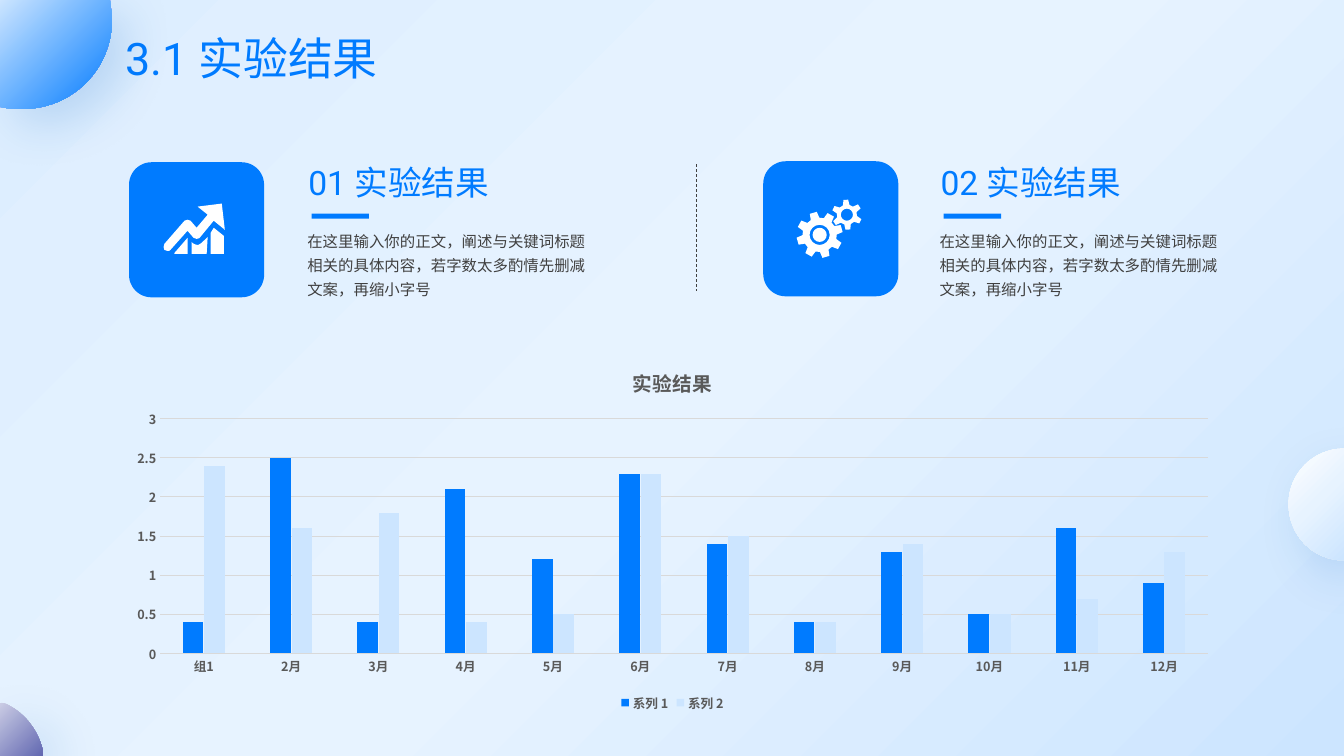
from dataclasses import dataclass
from math import cos, radians, sin

from lxml import etree
from pptx import Presentation
from pptx.chart import data as chart_data
from pptx.dml.color import RGBColor
from pptx.enum import chart as ch, dml, shapes, text
from pptx.oxml import ns
from pptx.util import Inches, Pt


@dataclass(frozen=True)
class Theme:
    blue: str = "007BFF"
    pale: str = "CCE5FF"
    mist: str = "E7F3FF"
    sky: str = "DDEEFF"
    white: str = "FFFFFF"
    lilac: str = "CBCDE5"
    purple: str = "6369B2"
    shadow: str = "005CBF"
    body: str = "404040"
    chart_text: str = "595959"
    grid: str = "D9D9D9"
    font: str = "Roboto"
    cjk_font: str = "Noto Sans CJK SC"
    title_size: int = 32
    heading_size: int = 24
    chart_title_size: int = 14
    body_size: int = 11
    chart_size: int = 9


THEME = Theme()
BODY = "在这里输入你的正文，阐述与关键词标题相关的具体内容，若字数太多酌情先删减文案，再缩小字号"
CATEGORIES = ["组1"] + [f"{month}月" for month in range(2, 13)]
SERIES = [
    ("系列 1", [0.4, 2.5, 0.4, 2.1, 1.2, 2.3, 1.4, 0.4, 1.3, 0.5, 1.6, 0.9], THEME.blue),
    ("系列 2", [2.4, 1.6, 1.8, 0.4, 0.5, 2.3, 1.5, 0.4, 1.4, 0.5, 0.7, 1.3], THEME.pale),
]
# Outlines: two numbers make a line to a point, six make a Bezier curve
TOP_ORB = [(0, 0), (1.09, 0), (1.1, 0.08, 1.11, 0.14, 1.11, 0.2),
           (1.11, 0.69, 0.71, 1.08, 0.23, 1.08), (0.16, 1.08, 0.1, 1.08, 0.05, 1.07), (0, 1.06)]
RIGHT_ORB = [(13.33, 4.45), (13.33, 5.56), (13.02, 5.56, 12.78, 5.31, 12.78, 5),
             (12.78, 4.7, 13.02, 4.45, 13.33, 4.45)]
BOTTOM_ORB = [(0, 6.97), (0.05, 6.98), (0.23, 7.06, 0.37, 7.23, 0.42, 7.43), (0.42, 7.5), (0, 7.5)]
GROWTH_ICON = [
    [(1.86, 2.29), (1.69, 2.48), (1.69, 2.49, 1.67, 2.49, 1.66, 2.49),
     (1.65, 2.49, 1.64, 2.49, 1.63, 2.48), (1.62, 2.46, 1.62, 2.44, 1.63, 2.42), (1.83, 2.19),
     (1.84, 2.18, 1.85, 2.18, 1.86, 2.18), (1.89, 2.19), (1.95, 2.26), (2.06, 2.13), (1.96, 2.05),
     (2.2, 2.02), (2.23, 2.28), (2.12, 2.19), (1.98, 2.36), (1.98, 2.36, 1.97, 2.37, 1.95, 2.37),
     (1.94, 2.37, 1.93, 2.36, 1.92, 2.36)],
    [(1.73, 2.52), (1.86, 2.52), (1.86, 2.36), (1.73, 2.51)],
    [(2, 2.41), (1.98, 2.43, 1.96, 2.43, 1.96, 2.43), (1.95, 2.43, 1.91, 2.42, 1.9, 2.4),
     (1.9, 2.52), (2.05, 2.52), (2.06, 2.35)],
    [(2.12, 2.26), (2.09, 2.31), (2.09, 2.52), (2.22, 2.52), (2.22, 2.34)],
]


def color(value):
    return RGBColor.from_string(value)


def polar(cx, cy, radius, degrees):
    return cx + radius * cos(radians(degrees)), cy + radius * sin(radians(degrees))


def circle(cx, cy, radius):
    outline = [polar(cx, cy, radius, 0)]
    for angle in range(0, 360, 90):
        start, end = polar(cx, cy, radius, angle), polar(cx, cy, radius, angle + 90)
        outline.append((*polar(*start, 0.55 * radius, angle + 90),
                        *polar(*end, 0.55 * radius, angle), *end))
    return outline


def gear(cx, cy, tip, root, teeth, start, tip_half, root_half):
    corners = ((root, -root_half), (tip, -tip_half), (tip, tip_half), (root, root_half))
    return [polar(cx, cy, radius, start + tooth * 360 / teeth + turn)
            for tooth in range(teeth) for radius, turn in corners]


def set_gradient(fill, element, stops):
    fill.gradient()
    gradient = element.find(".//" + ns.qn("a:gradFill"))
    stop_list = gradient.find(ns.qn("a:gsLst"))
    for stop in list(stop_list):
        stop_list.remove(stop)
    for position, value in stops:
        stop = etree.SubElement(stop_list, ns.qn("a:gs"), pos=str(position * 1000))
        etree.SubElement(stop, ns.qn("a:srgbClr"), val=value)
    gradient.find(ns.qn("a:lin")).set("ang", str(45 * 60000))


def style_solid(shape, fill=None):
    shape.shadow.inherit = False
    shape.line.fill.background()
    if fill:
        shape.fill.solid()
        shape.fill.fore_color.rgb = color(fill)


def add_outline(slide, contours, fill=None):
    builder = None
    for contour in contours:
        points = [(Inches(step[i]), Inches(step[i + 1])) for step in contour
                  for i in range(0, len(step), 2)]
        if builder:
            builder.move_to(*points[0])
        else:
            builder = slide.shapes.build_freeform(*points[0])
        builder.add_line_segments(points[1:], close=True)
    shape = builder.convert_to_shape()
    # Join the three points of each curve
    lines = iter(list(shape.element.iter(ns.qn("a:lnTo"))))
    for step in (step for contour in contours for step in contour[1:]):
        line = next(lines)
        if len(step) == 6:
            line.tag = ns.qn("a:cubicBezTo")
            for _ in range(2):
                extra = next(lines)
                line.append(extra[0])
                extra.getparent().remove(extra)
    style_solid(shape, fill)
    return shape


def add_orb(slide, outline, stops):
    orb = add_outline(slide, [outline])
    set_gradient(orb.fill, orb.element, stops)
    effects = orb.element.spPr.find(ns.qn("a:effectLst"))
    shadow = etree.SubElement(effects, ns.qn("a:outerShdw"), blurRad=str(Pt(35)),
                              dist=str(Pt(16)), dir=str(45 * 60000), algn="tl", rotWithShape="0")
    tint = etree.SubElement(shadow, ns.qn("a:srgbClr"), val=THEME.shadow)
    etree.SubElement(tint, ns.qn("a:alpha"), val="16000")


def add_block(slide, preset, left, top, width, height):
    block = slide.shapes.add_shape(preset, Inches(left), Inches(top), Inches(width), Inches(height))
    style_solid(block, THEME.blue)


def write(shape, content, size, value, spacing=1.0):
    frame = shape.text_frame
    frame.word_wrap = True
    frame.auto_size = text.MSO_AUTO_SIZE.SHAPE_TO_FIT_TEXT
    paragraph = frame.paragraphs[0]
    paragraph.alignment = text.PP_ALIGN.LEFT
    paragraph.line_spacing = spacing
    run = paragraph.add_run()
    run.text = content
    run.font.name, run.font.size = THEME.font, Pt(size)
    run.font.color.rgb = color(value)


def add_text(slide, left, top, width, height, *content):
    write(slide.shapes.add_textbox(Inches(left), Inches(top), Inches(width), Inches(height)), *content)


def add_title(slide, content):
    title = slide.shapes.title
    title.left, title.top, title.width, title.height = map(Inches, (1.14, 0.27, 3, 0.66))
    title.text_frame.vertical_anchor = text.MSO_ANCHOR.MIDDLE
    write(title, content, THEME.title_size, THEME.blue, 0.9)


def add_finding(slide, heading, tile_left, tile_top, text_left, heading_width):
    add_block(slide, shapes.MSO_SHAPE.ROUNDED_RECTANGLE, tile_left, tile_top, 1.34, 1.34)
    add_text(slide, text_left, 1.56, heading_width, 0.5, heading, THEME.heading_size, THEME.blue)
    add_block(slide, shapes.MSO_SHAPE.RECTANGLE, text_left + 0.13, 2.12, 0.57, 0.05)
    add_text(slide, text_left - 0.01, 2.2, 2.97, 0.8, BODY, THEME.body_size, THEME.body, 1.3)


def add_divider(slide):
    divider = slide.shapes.add_connector(shapes.MSO_CONNECTOR.STRAIGHT, Inches(6.91), Inches(1.63),
                                         Inches(6.91), Inches(2.89))
    divider.line.color.rgb = color(THEME.body)
    divider.line.width = Pt(0.5)
    divider.line.dash_style = dml.MSO_LINE.DASH
    etree.SubElement(divider.element.spPr, ns.qn("a:effectLst"))


def style_chart_font(font, size=THEME.chart_size):
    font.name, font.size, font.bold = THEME.cjk_font, Pt(size), True
    font.color.rgb = color(THEME.chart_text)


def add_results_chart(slide):
    results = chart_data.CategoryChartData()
    results.categories = CATEGORIES
    for name, values, _ in SERIES:
        results.add_series(name, values)
    chart = slide.shapes.add_chart(ch.XL_CHART_TYPE.COLUMN_CLUSTERED, Inches(1.14), Inches(3.47),
                                   Inches(11.06), Inches(3.63), results).chart
    style_chart_font(chart.font)
    # Title and legend
    run = chart.chart_title.text_frame.paragraphs[0].add_run()
    run.text = "实验结果"
    style_chart_font(run.font, THEME.chart_title_size)
    chart.has_legend = True
    chart.legend.position = ch.XL_LEGEND_POSITION.BOTTOM
    chart.legend.include_in_layout = False
    style_chart_font(chart.legend.font)
    # Axes
    for axis in (chart.category_axis, chart.value_axis):
        axis.major_tick_mark = axis.minor_tick_mark = ch.XL_TICK_MARK.NONE
        style_chart_font(axis.tick_labels.font)
    chart.value_axis.format.line.fill.background()
    for line in (chart.category_axis.format.line, chart.value_axis.major_gridlines.format.line):
        line.color.rgb = color(THEME.grid)
        line.width = Pt(0.75)
    # Columns
    plot = chart.plots[0]
    plot.gap_width, plot.overlap, plot.vary_by_categories = 219, -4, False
    for series, (_, _, fill) in zip(plot.series, SERIES):
        series.format.fill.solid()
        series.format.fill.fore_color.rgb = color(fill)


def main():
    presentation = Presentation()
    presentation.slide_width, presentation.slide_height = Inches(13.33), Inches(7.5)
    slide = presentation.slides.add_slide(presentation.slide_layouts[5])
    # Backdrop
    set_gradient(slide.background.fill, slide.element,
                 [(0, THEME.sky), (52, THEME.mist), (100, THEME.pale)])
    add_orb(slide, TOP_ORB, [(0, THEME.pale), (100, THEME.blue)])
    add_orb(slide, RIGHT_ORB, [(0, THEME.white), (49, THEME.mist), (100, THEME.pale)])
    add_orb(slide, BOTTOM_ORB, [(0, THEME.lilac), (100, THEME.purple)])
    # Title, findings and chart
    add_title(slide, "3.1 实验结果")
    add_finding(slide, "01 实验结果", 1.28, 1.61, 2.96, 2.61)
    add_finding(slide, "02 实验结果", 7.57, 1.6, 9.23, 2.49)
    add_divider(slide)
    add_results_chart(slide)
    # Icons
    add_outline(slide, GROWTH_ICON, THEME.white)
    add_outline(slide, [
        gear(8.13, 2.33, 0.23, 0.17, 8, -106, 9, 15), circle(8.13, 2.33, 0.1), circle(8.13, 2.33, 0.07),
        gear(8.4, 2.13, 0.15, 0.1, 6, -94, 9, 19), circle(8.4, 2.13, 0.06)], THEME.white)
    presentation.save("out.pptx")


if __name__ == "__main__":
    main()
